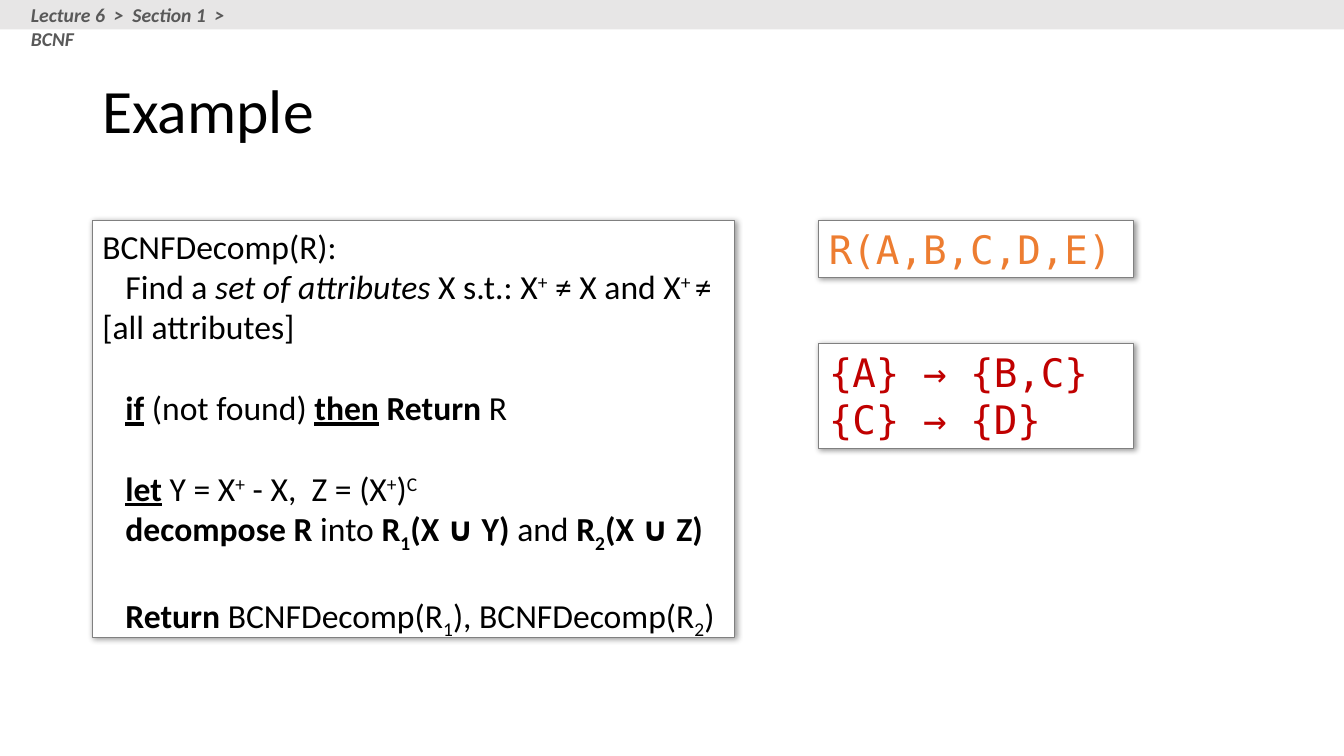
from lxml import etree
from pptx import Presentation
from pptx.dml.color import RGBColor
from pptx.enum.shapes import MSO_SHAPE
from pptx.enum.text import MSO_ANCHOR, PP_ALIGN
from pptx.oxml.ns import qn
from pptx.util import Inches, Pt

RECTANGLE = MSO_SHAPE.RECTANGLE
TOP, MIDDLE = MSO_ANCHOR.TOP, MSO_ANCHOR.MIDDLE
LEFT = PP_ALIGN.LEFT

COLUMNS, ROWS = 160, 90
UNIT = Inches(1) / 12
LEFT_COLUMN, RIGHT_COLUMN = 11, 97.5
PANEL_ROW, RIGHT_WIDTH = 26.25, 37.5
STEP_INDENT = Inches(0.23)
BLANK_LINE = Pt(29)

COLORS = {
    "paper": "FFFFFF", "ink": "000000", "border": "808080", "bar": "E7E6E6",
    "header": "595959", "relation": "ED7D31", "dependency": "C00000",
}
FORMATS = {
    "title": {"size": Pt(44), "name": "Calibri"},
    "header": {"size": Pt(14), "name": "Calibri", "bold": True, "italic": True},
    "steps": {"size": Pt(24), "name": "Calibri"},
    "formula": {"size": Pt(28), "name": "DejaVu Sans Mono"},
}
MARKS = {
    "plain": {}, "bold": {"bold": True}, "italic": {"italic": True},
    "keyword": {"bold": True, "underline": True},
    "super": {}, "sub": {}, "bold sub": {"bold": True},
}
BASELINES = {"super": "30000", "sub": "-25000", "bold sub": "-25000"}

FIND = [("Find a ", "plain"), ("set of attributes ", "italic"), ("X s.t.: X", "plain"),
        ("+", "super"), (" ≠ X and X", "plain"), ("+ ", "super"),
        ("≠ [all attributes]", "plain")]
TEST = [("if", "keyword"), (" (not found) ", "plain"), ("then", "keyword"),
        (" ", "plain"), ("Return", "bold"), (" R", "plain")]
LET = [("let", "keyword"), (" Y = X", "plain"), ("+", "super"), (" - X,  Z = (X", "plain"),
       ("+", "super"), (")", "plain"), ("C", "super")]
SPLIT = [("decompose R", "bold"), (" into ", "plain"), ("R", "bold"), ("1", "bold sub"),
         ("(X ∪ Y) ", "bold"), ("and ", "plain"), ("R", "bold"), ("2", "bold sub"),
         ("(X ∪ Z)", "bold")]
RETURN = [("Return ", "bold"), ("BCNFDecomp(R", "plain"), ("1", "sub"),
          ("), BCNFDecomp(R", "plain"), ("2", "sub"), (")", "plain")]
STEPS = [(FIND, 0), (TEST, BLANK_LINE), (LET, BLANK_LINE), (SPLIT, 0), (RETURN, BLANK_LINE)]


def place(*cells):
    return [round(cell * UNIT) for cell in cells]


def color(name):
    return RGBColor.from_string(COLORS[name])


def apply_format(font, values):
    for name, value in values.items():
        setattr(font, name, value)


def add_spans(para, spans, style, ink):
    para.alignment = LEFT
    for text, mark in spans:
        span = para.add_run()
        span.text = text
        apply_format(span.font, {**FORMATS[style], **MARKS[mark]})
        span.font.color.rgb = color(ink)
        if mark in BASELINES:
            span.font._element.set("baseline", BASELINES[mark])


def add_lines(box, lines, style, ink, anchor=TOP):
    frame = box.text_frame
    frame.word_wrap = True
    frame.vertical_anchor = anchor
    for number, line in enumerate(lines):
        para = frame.add_paragraph() if number else frame.paragraphs[0]
        add_spans(para, [(line, "plain")], style, ink)


def add_text(page, cells, line, style, ink, anchor=TOP):
    box = page.shapes.add_textbox(*place(*cells))
    add_lines(box, [line], style, ink, anchor)
    return box


def add_rectangle(page, cells, fill):
    box = page.shapes.add_shape(RECTANGLE, *place(*cells))
    box.shadow.inherit = False
    box.fill.solid()
    box.fill.fore_color.rgb = color(fill)
    box.line.fill.background()
    return box


def add_shadow(box):
    effects = box._element.spPr.find(qn("a:effectLst"))
    shadow = etree.SubElement(effects, qn("a:outerShdw"), blurRad=str(Pt(4)),
                              dist=str(Pt(1)), dir=str(45 * 60000), rotWithShape="0")
    tint = etree.SubElement(shadow, qn("a:srgbClr"), val=COLORS["ink"])
    etree.SubElement(tint, qn("a:alpha"), val="40000")


def add_panel(page, cells, lines, style, ink):
    box = add_rectangle(page, cells, "paper")
    box.line.color.rgb = color("border")
    box.line.width = Pt(0.75)
    add_shadow(box)
    add_lines(box, lines, style, ink)
    return box


def add_steps(box, steps):
    for spans, gap in steps:
        para = box.text_frame.add_paragraph()
        properties = para._p.get_or_add_pPr()
        properties.set("marL", "0")
        properties.set("indent", str(STEP_INDENT))
        para.space_before = gap
        add_spans(para, spans, "steps", "ink")


def main():
    deck = Presentation()
    deck.slide_width, deck.slide_height = place(COLUMNS, ROWS)
    page = deck.slides.add_slide(deck.slide_layouts[6])

    add_panel(page, (RIGHT_COLUMN, PANEL_ROW, RIGHT_WIDTH, 6.85),
              ["R(A,B,C,D,E)"], "formula", "relation")
    algorithm = add_panel(page, (LEFT_COLUMN, PANEL_ROW, 76.5, 49.7),
                          ["BCNFDecomp(R):"], "steps", "ink")
    add_steps(algorithm, STEPS)
    title = add_text(page, (LEFT_COLUMN, 4.8, 138, 17.4), "Example", "title", "ink", MIDDLE)
    title.text_frame.paragraphs[0].line_spacing = 0.9
    add_panel(page, (RIGHT_COLUMN, 40.9, RIGHT_WIDTH, 12.5),
              ["{A} → {B,C}", "{C} → {D}"], "formula", "dependency")
    add_rectangle(page, (0, 0, COLUMNS, 3.5), "bar")
    add_text(page, (2.5, -0.24, 31.3, 4.08),
             "Lecture 6  >  Section 1  >  BCNF", "header", "header")

    deck.save("out.pptx")


if __name__ == "__main__":
    main()
